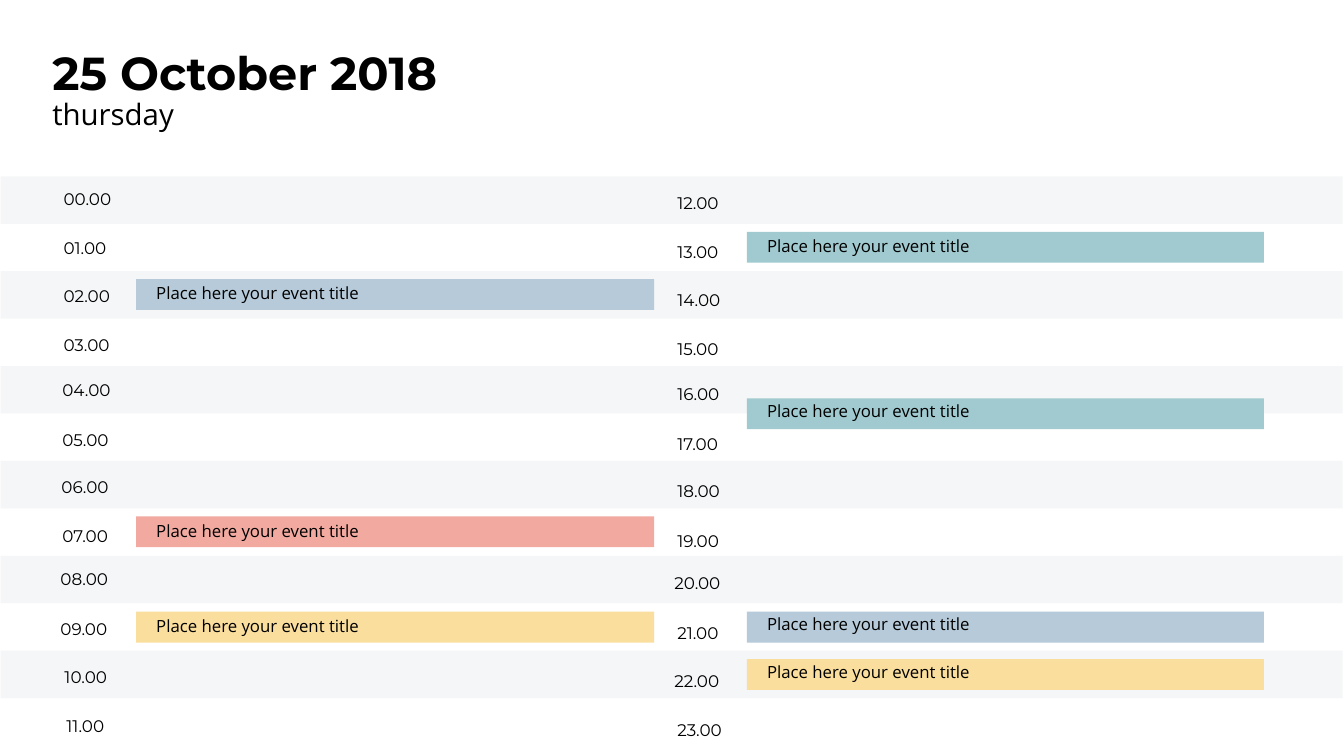
from pptx import Presentation
from pptx.dml.color import RGBColor
from pptx.enum.shapes import MSO_SHAPE
from pptx.enum.text import MSO_ANCHOR, MSO_AUTO_SIZE, PP_ALIGN
from pptx.util import Pt

HUES = {"band": "F5F6F7", "text": "000000", "gold": "FADE9D",
        "blue": "B6CAD9", "teal": "A0CACF", "rose": "F2AAA0"}
HEAD, BODY = "Montserrat", "Open Sans"
EVENT = "Place here your event title"

# Tops of the twelve hour labels, measured from the top of the column
TOPS = [8.6, 43.9, 77.8, 113, 145.4, 180.7, 214.6, 249.8, 280.1, 316.1, 349.9, 385.2]
# Left offsets of the labels in each column
MORNING = [2.2, 2.2, 2.2, 2.2, 1.4, 1.4, 0.7, 1.4, 0, 0, 2.9, 4.3]
EVENING = [2.1] * 8 + [0, 2.1, 0, 2.1]
# Events: bar top within the column, colour, gap from bar top to text
EARLY = [(73.4, "blue", 2.2), (242.8, "rose", 3.4), (311, "gold", 2.9)]
LATE = [(39.6, "teal", 2.9), (158.6, "teal", 1.4),
        (311, "blue", 1.4), (344.9, "gold", 1.4)]


def write(shape, text, size=12, font=BODY, bold=False, wrap=True):
    frame = shape.text_frame
    frame.margin_left = frame.margin_right = 0
    frame.margin_top = frame.margin_bottom = 0
    frame.word_wrap = wrap
    frame.auto_size = MSO_AUTO_SIZE.NONE
    frame.vertical_anchor = MSO_ANCHOR.TOP
    para = frame.paragraphs[0]
    para.alignment = PP_ALIGN.LEFT
    run = para.add_run()
    run.text = text
    run.font.size = Pt(size)
    run.font.name = font
    run.font.bold = bold
    run.font.color.rgb = RGBColor.from_string(HUES["text"])


def label(slide, box, text, **form):
    write(slide.shapes.add_textbox(*map(Pt, box)), text, **form)


def bar(slide, box, hue):
    shape = slide.shapes.add_shape(MSO_SHAPE.RECTANGLE, *map(Pt, box))
    shape.shadow.inherit = False
    shape.fill.solid()
    shape.fill.fore_color.rgb = RGBColor.from_string(HUES[hue])
    shape.line.fill.background()


def header(slide, box):
    left, top, width, height = box
    title = slide.shapes.title
    title.left, title.top = Pt(left), Pt(top)
    title.width, title.height = Pt(width), Pt(40.3)
    write(title, "25 October 2018", size=33, font=HEAD, bold=True)
    label(slide, (left, top + 36.7, 89.3, height - 36.7), "thursday", size=21)


def bands(slide, box):
    """Shade every other hour row across the box."""
    left, top, width, height = box
    row = height / 12
    for hour in range(0, 12, 2):
        bar(slide, (left, top + hour * row, width, row), "band")


def column(slide, box, start, shifts, events, inset, lag=0):
    """Place twelve hour labels, lowered by lag, and bars ending at the right."""
    left, top, width, height = box
    for hour, (drop, shift) in enumerate(zip(TOPS, shifts), start):
        label(slide, (left + shift, top + lag + drop, 36, 14.4),
              f"{hour:02}.00", font=HEAD)
    for drop, hue, gap in events:
        x, y = left + inset, top + drop
        bar(slide, (x, y, width - inset, 22), hue)
        label(slide, (x + 14.4, y + gap, 152, 20.2), EVENT, wrap=False)


def main():
    deck = Presentation()
    deck.slide_width, deck.slide_height = Pt(960), Pt(540)
    slide = deck.slides.add_slide(deck.slide_layouts[5])
    bands(slide, (0.5, 126, 958.5, 406.5))
    header(slide, (37.4, 31.7, 300, 61.9))
    column(slide, (43.2, 126, 424.1, 406.5), 0, MORNING, EARLY, 54)
    column(slide, (481.7, 126, 421.2, 406.5), 12, EVENING, LATE, 51.8, lag=3)
    deck.save("out.pptx")


if __name__ == "__main__":
    main()
